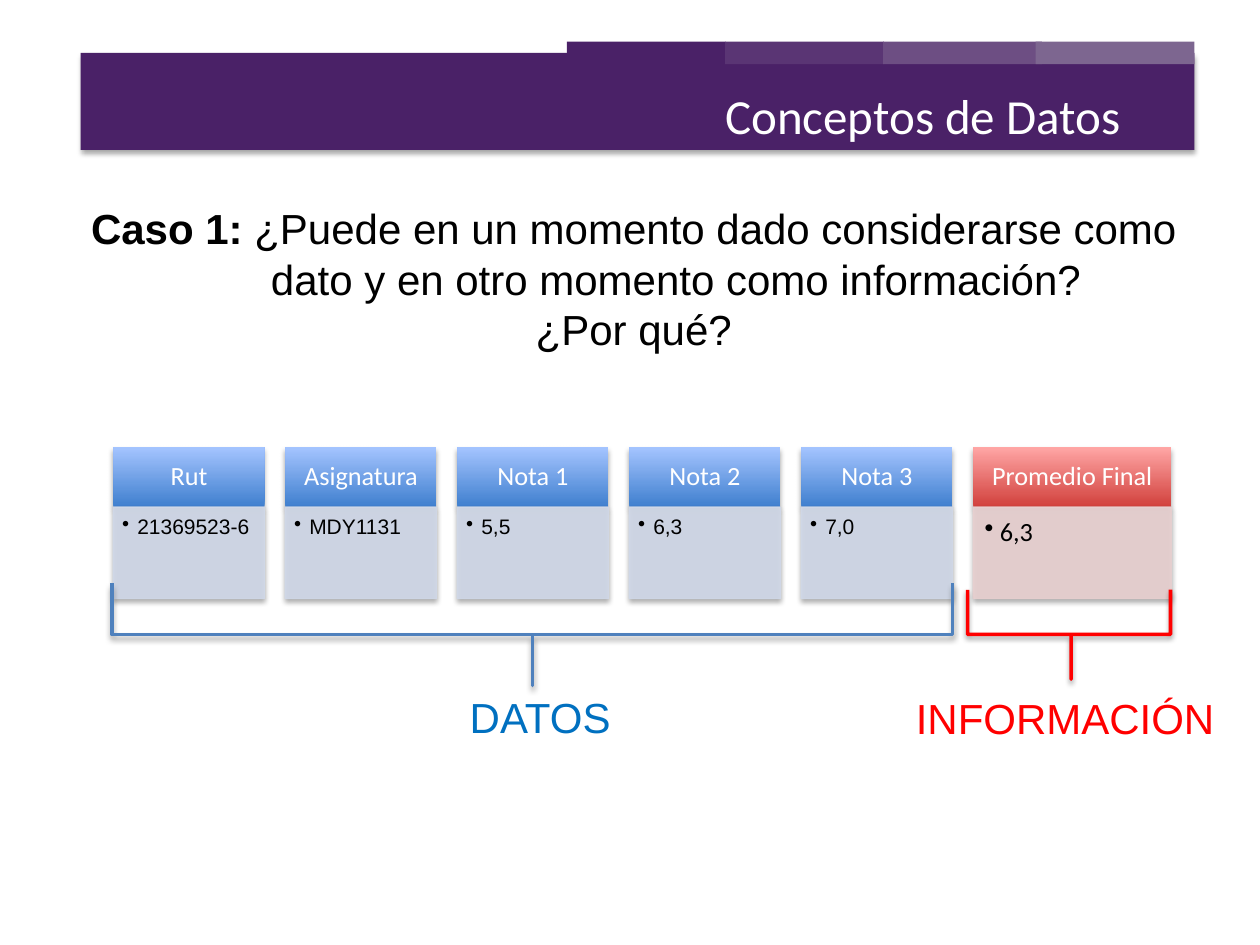
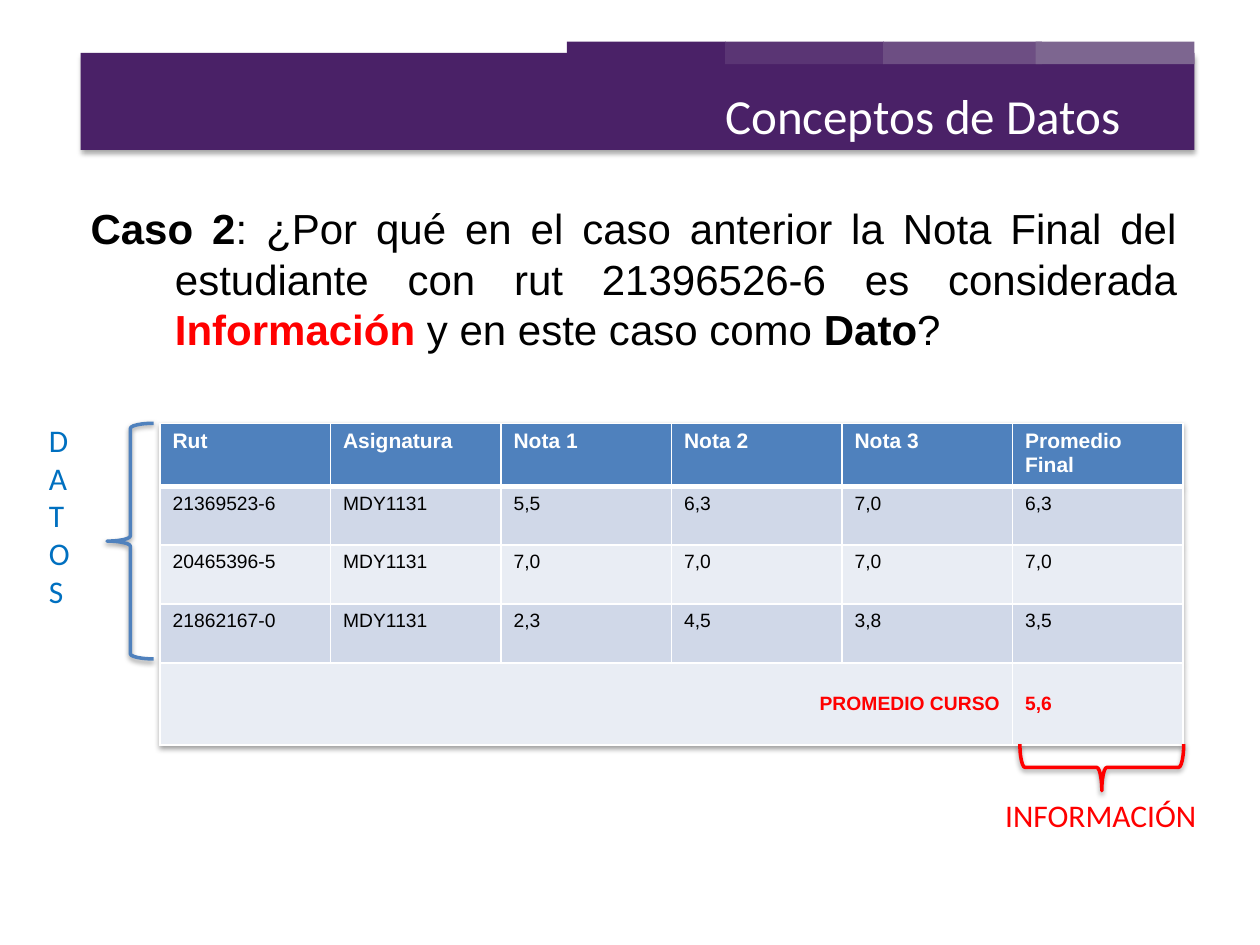
"""Builds two slides that contrast data and information with student marks."""
from dataclasses import dataclass

from lxml import etree
from pptx import Presentation
from pptx.dml.color import RGBColor
from pptx.enum.shapes import MSO_SHAPE
from pptx.enum.text import MSO_ANCHOR, PP_ALIGN
from pptx.oxml.ns import qn
from pptx.util import Inches, Pt

RECT, BRACE = MSO_SHAPE.RECTANGLE, MSO_SHAPE.LEFT_BRACE
LEFT, CENTER, RIGHT, JUSTIFY = PP_ALIGN.LEFT, PP_ALIGN.CENTER, PP_ALIGN.RIGHT, PP_ALIGN.JUSTIFY
TOP, MIDDLE = MSO_ANCHOR.TOP, MSO_ANCHOR.MIDDLE
SLIDE_W, SLIDE_H = Inches(10), Inches(7.5)
COLUMN, ROW = SLIDE_W / 100, SLIDE_H / 75


@dataclass(frozen=True)
class Theme:
    """Colours, fonts and type sizes of both slides."""
    heading_font: str = "Calibri"
    body_font: str = "Arial"
    title_size: int = 28
    question_size: int = 24
    label_size: int = 18
    card_size: int = 15
    mark_size: int = 12
    row_size: int = 11
    white: str = "FFFFFF"
    black: str = "000000"
    band: str = "4A2167"
    steps: tuple = ("4A2167", "5A3574", "6D4E83", "7D6690")
    data: str = "4F81BD"
    data_label: str = "0070C0"
    info: str = "FF0000"
    data_card: tuple = ("3F7FCE", "A4C4FF", "D0D8E8")
    info_card: tuple = ("D1403C", "FFA6A5", "E8D0D0")
    stripes: tuple = ("D0D8E8", "E9EDF4")


THEME = Theme()
TITLE = "Conceptos de Datos"
HEADINGS = ("Rut", "Asignatura", "Nota 1", "Nota 2", "Nota 3", "Promedio Final")
STUDENTS = (
    ("21369523-6", "MDY1131", "5,5", "6,3", "7,0", "6,3"),
    ("20465396-5", "MDY1131", "7,0", "7,0", "7,0", "7,0"),
    ("21862167-0", "MDY1131", "2,3", "4,5", "3,8", "3,5"),
)
COURSE_AVERAGE = ("PROMEDIO CURSO", "", "", "", "", "5,6")


def place(left, top, width, height):
    """Turn grid columns and rows into slide lengths."""
    return [round(n * unit) for n, unit in zip((left, top, width, height), (COLUMN, ROW) * 2)]


def rgb(code):
    """Read a hexadecimal colour."""
    return RGBColor.from_string(code)


def set_alpha(color, percent):
    """Make a colour element partly transparent."""
    etree.SubElement(color, qn("a:alpha"), val=str(percent * 1000))


def add_shadow(effects, opacity, distance):
    """Put a soft downward shadow in an effect list."""
    shadow = etree.SubElement(effects, qn("a:outerShdw"), blurRad=str(Pt(3.1)),
                              dist=str(Pt(distance)), dir="5400000", rotWithShape="0")
    set_alpha(etree.SubElement(shadow, qn("a:srgbClr"), val=THEME.black), opacity)


def write(frame, paragraphs, font=THEME.body_font, size=12, color=THEME.black, bold=False,
          align=LEFT, anchor=TOP, spacing=1.0, hang=0, bullet=None, insets=None, wrap=True):
    """Fill a text frame with paragraphs of (text, overrides) runs."""
    frame.word_wrap = wrap
    frame.vertical_anchor = anchor
    if insets:
        (frame.margin_left, frame.margin_top,
         frame.margin_right, frame.margin_bottom) = map(Inches, insets)
    for index, runs in enumerate(paragraphs):
        paragraph = frame.add_paragraph() if index else frame.paragraphs[0]
        paragraph.alignment = align
        paragraph.line_spacing = spacing
        if hang:
            properties = paragraph._p.get_or_add_pPr()
            properties.set("marL", str(Inches(hang)))
            properties.set("indent", str(-Inches(hang)))
            if bullet:
                etree.SubElement(properties, qn("a:buChar"), char=bullet)
        for text, overrides in runs:
            run = paragraph.add_run()
            run.text = text
            run.font.name, run.font.size = font, Pt(size)
            run.font.bold = overrides.get("bold", bold)
            run.font.color.rgb = rgb(overrides.get("color", color))


def add_text(slide, box, paragraphs, **style):
    """Add a text box and return its frame."""
    frame = slide.shapes.add_textbox(*place(*box)).text_frame
    write(frame, paragraphs, **style)
    return frame


def add_panel(slide, box, fill=None, gradient=None, opacity=None, shadow=True):
    """Add a rectangle with a plain, translucent or gradient fill."""
    panel = slide.shapes.add_shape(RECT, *place(*box))
    panel.shadow.inherit = False
    panel.line.fill.background()
    if gradient:
        panel.fill.gradient()
        panel.fill.gradient_angle = 90
        for stop, code in zip(panel.fill.gradient_stops, gradient):
            stop.color.rgb = rgb(code)
    else:
        panel.fill.solid()
        panel.fill.fore_color.rgb = rgb(fill)
    properties = panel._element.spPr
    if opacity:
        panel.line.color.rgb = rgb(fill)
        panel.line.width = Pt(0.75)
        for color in list(properties.iter(qn("a:srgbClr"))):
            set_alpha(color, opacity)
    if shadow:
        add_shadow(properties.find(qn("a:effectLst")), 35, 1.8)
    return panel


def add_brace(slide, box, color, curve, point=0.5, down=False):
    """Add a brace that fills the box and points left or down."""
    left, top, width, height = box
    if down:
        left, top = left + (width - height) / 2, top + (height - width) / 2
        width, height = height, width
    brace = slide.shapes.add_shape(BRACE, *place(left, top, width, height))
    brace.rotation = 270 if down else 0
    brace.adjustments[0], brace.adjustments[1] = curve, point
    brace.fill.background()
    brace.line.color.rgb = rgb(color)
    brace.line.width = Pt(2)
    brace.shadow.inherit = False
    add_shadow(brace._element.spPr.find(qn("a:effectLst")), 38, 1.6)


def add_card(slide, left, width, heading, mark, colors, **mark_style):
    """Add a heading over its value."""
    dark, light, pale = colors
    head = add_panel(slide, (left, 35.5, width, 4.75), gradient=(dark, light))
    write(head.text_frame, [[(heading, {})]], font=THEME.heading_font, size=THEME.card_size,
          color=THEME.white, align=CENTER, anchor=MIDDLE, spacing=0.9,
          insets=(0.1, 0.07, 0.1, 0.07))
    body = add_panel(slide, (left, 40.25, width, 7.25), fill=pale, opacity=90)
    write(body.text_frame, [[(mark, {})]], spacing=0.9, hang=0.12, bullet="•", **mark_style)


def format_cell(cell, text, fill, top, bottom, **style):
    """Fill, border and write one table cell."""
    cell.fill.solid()
    cell.fill.fore_color.rgb = rgb(fill)
    properties = cell._tc.get_or_add_tcPr()
    for index, (side, width) in enumerate((("L", 1), ("R", 1), ("T", top), ("B", bottom))):
        border = etree.Element(qn(f"a:ln{side}"), w=str(Pt(width)))
        solid = etree.SubElement(border, qn("a:solidFill"))
        etree.SubElement(solid, qn("a:srgbClr"), val=THEME.white)
        properties.insert(index, border)
    anchor = style.pop("anchor", TOP)
    write(cell.text_frame, [[(text, {})]] if text else [], **style)
    cell.vertical_anchor = anchor


def add_marks_table(slide, box):
    """Add the students' marks with the course average below."""
    rows = (HEADINGS, *STUDENTS, COURSE_AVERAGE)
    last = len(rows) - 1
    frame = slide.shapes.add_table(len(rows), len(HEADINGS), *place(*box))
    table = frame.table
    effects = etree.Element(qn("a:effectLst"))
    add_shadow(effects, 38, 1.6)
    table._tbl.tblPr.insert(0, effects)
    for row, share in zip(table.rows, (5, 4.67, 4.67, 4.67, 6.5)):
        row.height = round(share * ROW)
    table.cell(last, 0).merge(table.cell(last, len(HEADINGS) - 2))
    for r, texts in enumerate(rows):
        if r == 0:
            style = {"size": THEME.mark_size, "color": THEME.white, "bold": True}
        elif r == last:
            style = {"size": THEME.row_size, "color": THEME.info, "bold": True, "anchor": MIDDLE}
        else:
            style = {"size": THEME.row_size}
        fill = THEME.stripes[(r - 1) % 2] if r else THEME.data
        for c, text in enumerate(texts):
            align = RIGHT if r == last and c == 0 else LEFT
            format_cell(table.cell(r, c), text, fill, top=3 if r == 1 else 1,
                        bottom=1 if r else 3, align=align, **style)


def add_case(deck, question, align):
    """Add a slide with the stepped band, the title and a question."""
    slide = deck.slides.add_slide(deck.slide_layouts[6])
    add_panel(slide, (6.4, 4.2, 88.4, 7.7), fill=THEME.band)
    for left, color in zip((45, 57.55, 70.1, 82.2), THEME.steps):
        add_panel(slide, (left, 3.3, 12.6, 1.8), fill=color, shadow=False)
    add_text(slide, (6.2, 15.6, 88.2, 13.1), question, size=THEME.question_size,
             align=align, hang=0.67)
    add_text(slide, (21.7, 6.3, 68.2, 5.7), [[(TITLE, {})]], font=THEME.heading_font,
             size=THEME.title_size, color=THEME.white, align=RIGHT)
    return slide


def build_single_student(deck):
    """Show one student's marks as data and the average as information."""
    slide = add_case(deck, [
        [("Caso 1:", {"bold": True}),
         (" ¿Puede en un momento dado considerarse como dato y en otro momento "
          "como información?", {})],
        [("¿Por qué?", {})],
    ], CENTER)
    first, pitch = 9, 13.65
    *marks, average = zip(HEADINGS, STUDENTS[0])
    for index, (heading, mark) in enumerate(marks):
        add_card(slide, first + index * pitch, 12, heading, mark, THEME.data_card,
                 size=THEME.mark_size, insets=(0.07, 0.07, 0.05, 0.1))
    add_card(slide, first + len(marks) * pitch, 15.7, *average, THEME.info_card,
             font=THEME.heading_font, size=THEME.card_size, insets=(0.09, 0.09, 0.12, 0.13))
    add_brace(slide, (8.9, 46.3, 66.7, 8.1), THEME.data, 0, down=True)
    add_brace(slide, (76.8, 46.8, 16.1, 7.1), THEME.info, 0, point=0.51, down=True)
    add_text(slide, (36.3, 54.4, 15.4, 5), [[("DATOS", {})]],
             size=THEME.question_size, color=THEME.data_label)
    add_text(slide, (71.7, 54.5, 26.6, 5), [[("INFORMACIÓN", {})]],
             size=THEME.question_size, color=THEME.info)


def build_whole_course(deck):
    """Show all students' marks as data and the course average as information."""
    slide = add_case(deck, [[
        ("Caso 2", {"bold": True}),
        (": ¿Por qué en el caso anterior la Nota Final del estudiante con rut 21396526-6 "
         "es considerada ", {}),
        ("Información", {"bold": True, "color": THEME.info}),
        (" y en este caso como ", {}),
        ("Dato", {"bold": True}),
        ("?", {}),
    ]], JUSTIFY)
    add_marks_table(slide, (12.7, 33.6, 81.2, 25.5))
    add_brace(slide, (8.5, 33.6, 3.7, 18.7), THEME.data, 0.11)
    add_brace(slide, (80.95, 59.05, 13, 3.7), THEME.info, 0.11, down=True)
    label = {"font": THEME.heading_font, "size": THEME.label_size, "wrap": False}
    stacked = add_text(slide, (2.9, 32.9, 5.6, 18.7), [[("DATOS", {})]],
                       color=THEME.data_label, **label)
    stacked._txBody.bodyPr.set("vert", "wordArtVert")
    add_text(slide, (78.8, 62.7, 17.3, 4), [[("INFORMACIÓN", {})]], color=THEME.info, **label)


def main():
    """Build and save the slides."""
    deck = Presentation()
    deck.slide_width, deck.slide_height = SLIDE_W, SLIDE_H
    build_single_student(deck)
    build_whole_course(deck)
    deck.save("out.pptx")


if __name__ == "__main__":
    main()
